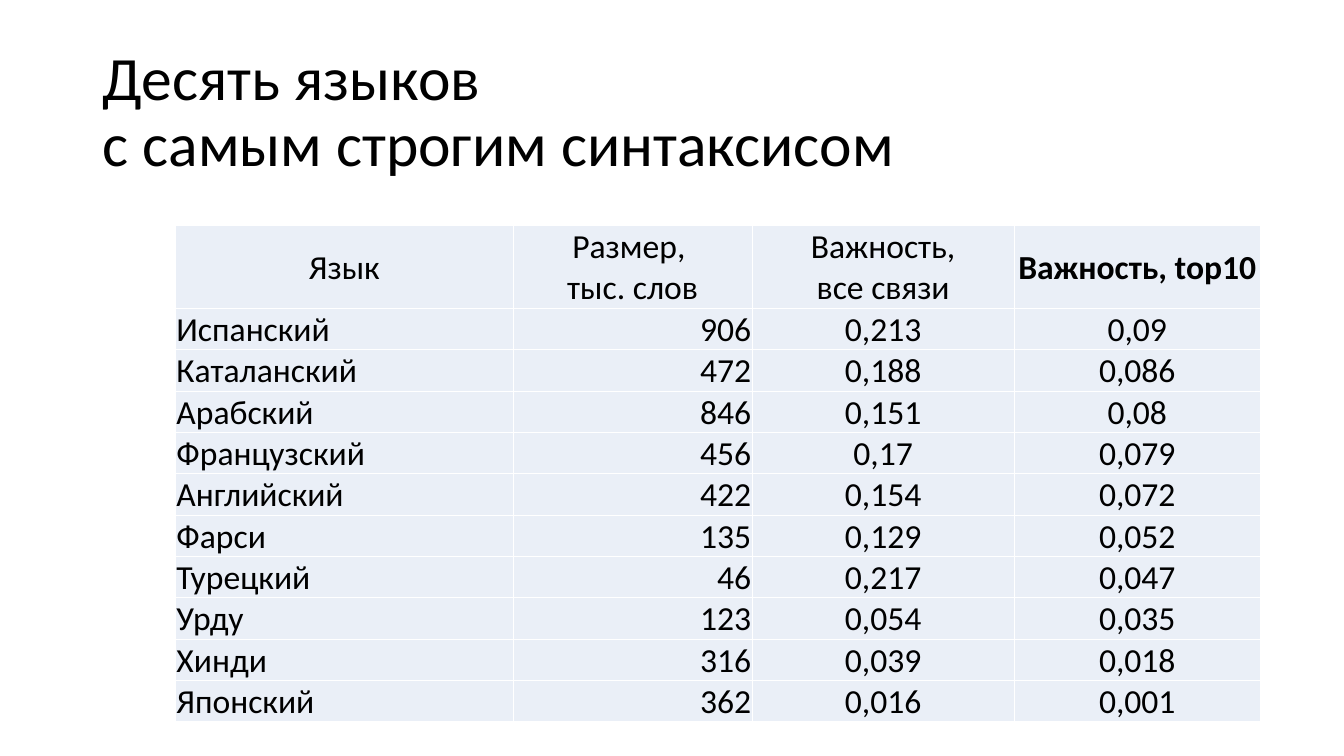
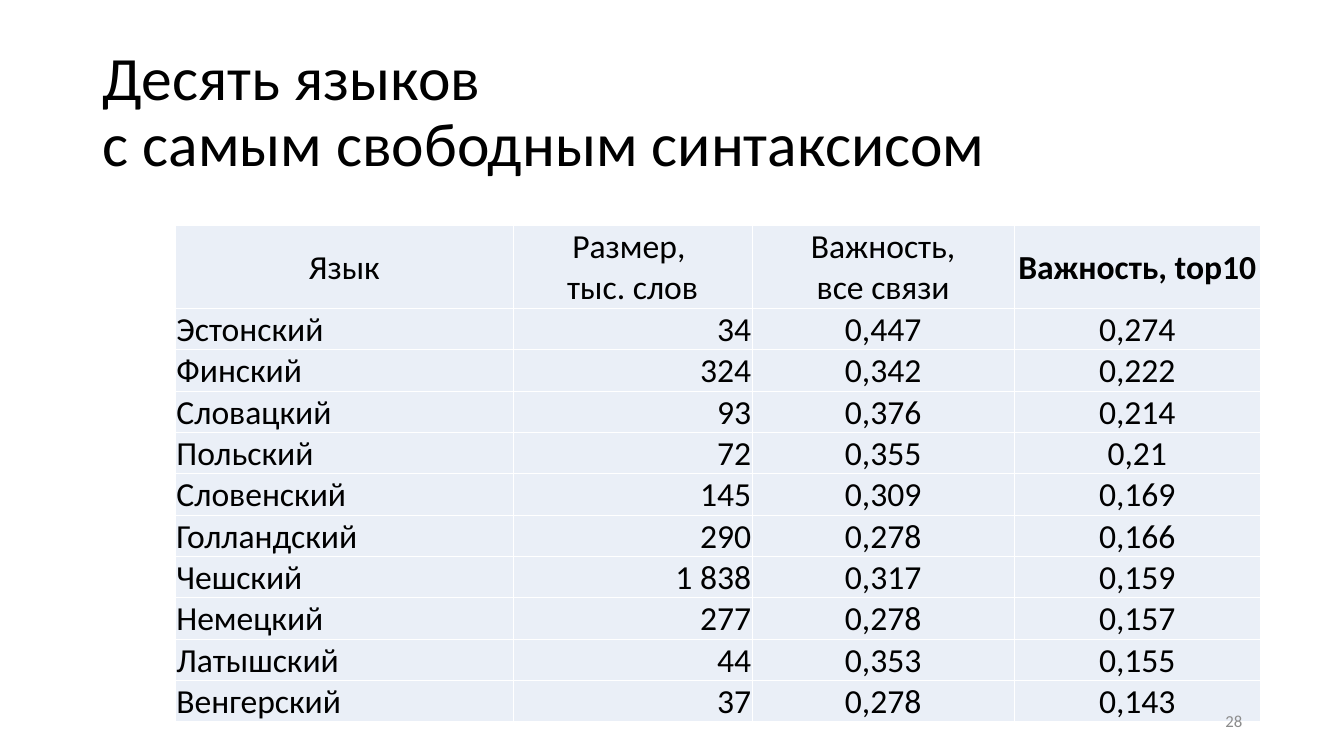
from pptx import Presentation, util as u
from pptx.dml.color import RGBColor
from pptx.enum import text
from pptx.oxml import parse_xml
from pptx.oxml.ns import nsdecls

# Content
HEAD = ("Язык", "Размер, \vтыс. слов", "Важность,\vвсе связи", "Важность, top10")
DECK = [
    {
        "title": "Десять языков \vс самым строгим синтаксисом",
        "rows": [
            ("Испанский", "906", "0,213", "0,09"),
            ("Каталанский", "472", "0,188", "0,086"),
            ("Арабский", "846", "0,151", "0,08"),
            ("Французский", "456", "0,17", "0,079"),
            ("Английский", "422", "0,154", "0,072"),
            ("Фарси", "135", "0,129", "0,052"),
            ("Турецкий", "46", "0,217", "0,047"),
            ("Урду", "123", "0,054", "0,035"),
            ("Хинди", "316", "0,039", "0,018"),
            ("Японский", "362", "0,016", "0,001"),
        ],
    },
    {
        "title": "Десять языков \vс самым свободным синтаксисом",
        "rows": [
            ("Эстонский", "34", "0,447", "0,274"),
            ("Финский", "324", "0,342", "0,222"),
            ("Словацкий", "93", "0,376", "0,214"),
            ("Польский", "72", "0,355", "0,21"),
            ("Словенский", "145", "0,309", "0,169"),
            ("Голландский", "290", "0,278", "0,166"),
            ("Чешский", "1 838", "0,317", "0,159"),
            ("Немецкий", "277", "0,278", "0,157"),
            ("Латышский", "44", "0,353", "0,155"),
            ("Венгерский", "37", "0,278", "0,143"),
        ],
        "page": "28",
    },
]

# Shared style
FONT = "Calibri"
INK, GREY, PALE, RULE = "000000", "8C8C8C", "EAEFF7", "FFFFFF"
COLS = (3.35, 2.37, 2.6, 2.44)
HEAD_H, ROW_H = 0.82, 0.41
PAD = u.Inches(0.01)
MID = text.MSO_ANCHOR.MIDDLE
ALIGN = text.PP_ALIGN
BODY = (ALIGN.JUSTIFY, ALIGN.RIGHT, ALIGN.CENTER, ALIGN.CENTER)


def rgb(code):
    return RGBColor.from_string(code)


def style(par, size, color=INK, align=ALIGN.LEFT, bold=False):
    par.alignment = align
    font = par.font
    font.name, font.size, font.bold = FONT, u.Pt(size), bold
    font.color.rgb = rgb(color)


def label(slide, box, words, size, **look):
    frame = slide.shapes.add_textbox(*map(u.Inches, box)).text_frame
    frame.word_wrap = True
    frame.vertical_anchor = MID
    frame.text = words
    par = frame.paragraphs[0]
    style(par, size, **look)
    return par


def border(cell):
    props = cell._tc.get_or_add_tcPr()
    for side in "LRTB":
        props.append(parse_xml(
            f'<a:ln{side} {nsdecls("a")} w="{u.Pt(1)}"><a:solidFill>'
            f'<a:srgbClr val="{RULE}"/></a:solidFill></a:ln{side}>'))


def fill_cell(cell, words, align, bold):
    border(cell)
    cell.fill.solid()
    cell.fill.fore_color.rgb = rgb(PALE)
    cell.margin_left = cell.margin_right = cell.margin_top = PAD
    cell.margin_bottom = 0
    cell.vertical_anchor = MID
    cell.text = words
    style(cell.text_frame.paragraphs[0], 24, align=align, bold=bold)


def add_grid(slide, rows):
    box = (1.74, 2.24, sum(COLS), HEAD_H + ROW_H * len(rows))
    grid = slide.shapes.add_table(
        len(rows) + 1, len(COLS), *map(u.Inches, box)).table
    grid.first_row = grid.horz_banding = False
    for col, width in zip(grid.columns, COLS):
        col.width = u.Inches(width)
    for r, row in enumerate([HEAD, *rows]):
        top = r == 0
        grid.rows[r].height = u.Inches(HEAD_H if top else ROW_H)
        for c, words in enumerate(row):
            align = ALIGN.CENTER if top else BODY[c]
            last = c == len(COLS) - 1
            fill_cell(grid.cell(r, c), words, align, top and last)


def main():
    deck = Presentation()
    deck.slide_width, deck.slide_height = u.Inches(13.33), u.Inches(7.5)
    for part in DECK:
        slide = deck.slides.add_slide(deck.slide_layouts[6])
        title = label(slide, (0.92, 0.4, 11.5, 1.45), part["title"], 44)
        title.line_spacing = 0.9
        add_grid(slide, part["rows"])
        # Page number
        if "page" in part:
            label(slide, (9.42, 6.95, 3, 0.4), part["page"], 12,
                  color=GREY, align=ALIGN.RIGHT)
    deck.save("out.pptx")


if __name__ == "__main__":
    main()
